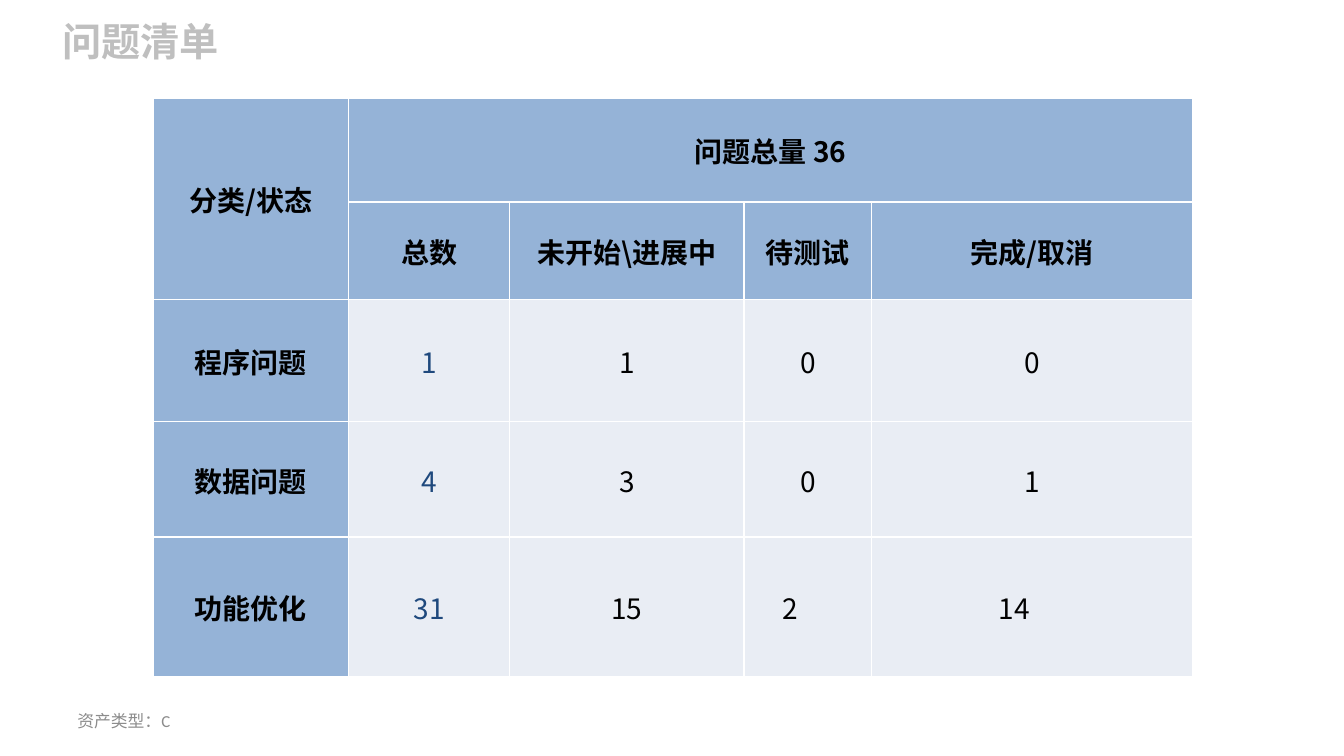
from dataclasses import dataclass

from lxml import etree
from pptx import Presentation
from pptx.dml.color import RGBColor
from pptx.enum.text import MSO_ANCHOR, MSO_AUTO_SIZE, PP_ALIGN
from pptx.oxml.ns import qn
from pptx.slide import Slide
from pptx.table import Table, _Cell
from pptx.text.text import _Paragraph
from pptx.util import Cm, Pt

MIDDLE, TOP = MSO_ANCHOR.MIDDLE, MSO_ANCHOR.TOP
CENTER = PP_ALIGN.CENTER
GROW, FIXED = MSO_AUTO_SIZE.SHAPE_TO_FIT_TEXT, MSO_AUTO_SIZE.NONE


@dataclass(frozen=True)
class Theme:
    latin: str = "Calibri"
    cjk: str = "Noto Sans CJK SC"
    title: str = "BFBFBF"
    footer: str = "8C8C8C"
    text: str = "000000"
    total: str = "1F497D"
    header_fill: str = "95B3D7"
    body_fill: str = "E9EDF4"
    border: str = "FFFFFF"
    title_size: int = 28
    table_size: int = 20
    footer_size: int = 12
    border_width: int = 1


@dataclass(frozen=True)
class Label:
    text: str
    left: float
    top: float
    width: float
    height: float
    size: int
    color: str
    bold: bool
    anchor: MSO_ANCHOR
    auto_size: MSO_AUTO_SIZE


THEME = Theme()

LABELS = [
    Label("问题清单", 1.32, 0.3, 25.35, 1.45, THEME.title_size, THEME.title,
          True, TOP, GROW),
    Label("资产类型：C", 1.7, 17.65, 7.9, 1.02, THEME.footer_size, THEME.footer,
          False, MIDDLE, FIXED),
]

# Issue table: two header rows, one header column
TABLE_LEFT, TABLE_TOP = 3.86, 2.47
COL_WIDTHS = [4.93, 4.06, 5.9, 3.22, 8.08]
ROW_HEIGHTS = [2.62, 2.45, 3.09, 2.9, 3.52]
HEADER_ROWS = 2
ISSUES = [
    ["分类/状态", "问题总量 36", "", "", ""],
    ["", "总数", "未开始\\进展中", "待测试", "完成/取消"],
    ["程序问题", "1", "1", "0", "0"],
    ["数据问题", "4", "3", "0", "1"],
    ["功能优化", "31", "15", "2", "14"],
]
MERGES = [((0, 0), (1, 0)), ((0, 1), (0, 4))]
INSET = 0.03
# Cells whose figure sits left of centre
WIDE_RIGHT_INSET = {(4, 3): 0.94, (4, 4): 0.94}


def style(p: _Paragraph, font: str, size: int, color: str, bold: bool) -> None:
    for r in p.runs:
        r.font.name = font
        r.font.size = Pt(size)
        r.font.bold = bold
        r.font.color.rgb = RGBColor.from_string(color)
        ea = etree.SubElement(r.font._element, qn("a:ea"))
        ea.set("typeface", THEME.cjk)


def add_label(s: Slide, label: Label) -> None:
    box = s.shapes.add_textbox(Cm(label.left), Cm(label.top),
                               Cm(label.width), Cm(label.height))
    tf = box.text_frame
    tf.word_wrap = True
    tf.auto_size = label.auto_size
    tf.vertical_anchor = label.anchor
    tf.text = label.text
    style(tf.paragraphs[0], THEME.latin, label.size, label.color, label.bold)


def add_borders(cell: _Cell) -> None:
    tc_pr = cell._tc.get_or_add_tcPr()
    for i, side in enumerate(("lnL", "lnR", "lnT", "lnB")):
        ln = etree.Element(qn(f"a:{side}"), w=str(Pt(THEME.border_width)))
        fill = etree.SubElement(ln, qn("a:solidFill"))
        etree.SubElement(fill, qn("a:srgbClr"), val=THEME.border)
        tc_pr.insert(i, ln)


def fill_cell(cell: _Cell, row: int, col: int) -> None:
    header = row < HEADER_ROWS or col == 0
    cell.fill.solid()
    cell.fill.fore_color.rgb = RGBColor.from_string(
        THEME.header_fill if header else THEME.body_fill)
    add_borders(cell)
    cell.vertical_anchor = MIDDLE
    cell.margin_left = cell.margin_top = Cm(INSET)
    cell.margin_right = Cm(WIDE_RIGHT_INSET.get((row, col), INSET))
    cell.margin_bottom = Cm(0)
    if ISSUES[row][col]:
        p = cell.text_frame.paragraphs[0]
        p.text = ISSUES[row][col]
        p.alignment = CENTER
        color = THEME.total if col == 1 and not header else THEME.text
        style(p, THEME.cjk, THEME.table_size, color, header)


def add_issue_table(s: Slide) -> Table:
    table = s.shapes.add_table(
        len(ROW_HEIGHTS), len(COL_WIDTHS), Cm(TABLE_LEFT), Cm(TABLE_TOP),
        Cm(sum(COL_WIDTHS)), Cm(sum(ROW_HEIGHTS))).table
    table.first_row = table.horz_banding = False
    for column, width in zip(table.columns, COL_WIDTHS):
        column.width = Cm(width)
    for row, height in zip(table.rows, ROW_HEIGHTS):
        row.height = Cm(height)
    for start, end in MERGES:
        table.cell(*start).merge(table.cell(*end))
    for row in range(len(ROW_HEIGHTS)):
        for col in range(len(COL_WIDTHS)):
            fill_cell(table.cell(row, col), row, col)
    return table


def main() -> None:
    prs = Presentation()
    prs.slide_width, prs.slide_height = Cm(33.87), Cm(19.05)
    s = prs.slides.add_slide(prs.slide_layouts[6])

    # Title and footer
    for label in LABELS:
        add_label(s, label)

    # Issue counts by category and status
    add_issue_table(s)
    prs.save("out.pptx")


if __name__ == "__main__":
    main()
